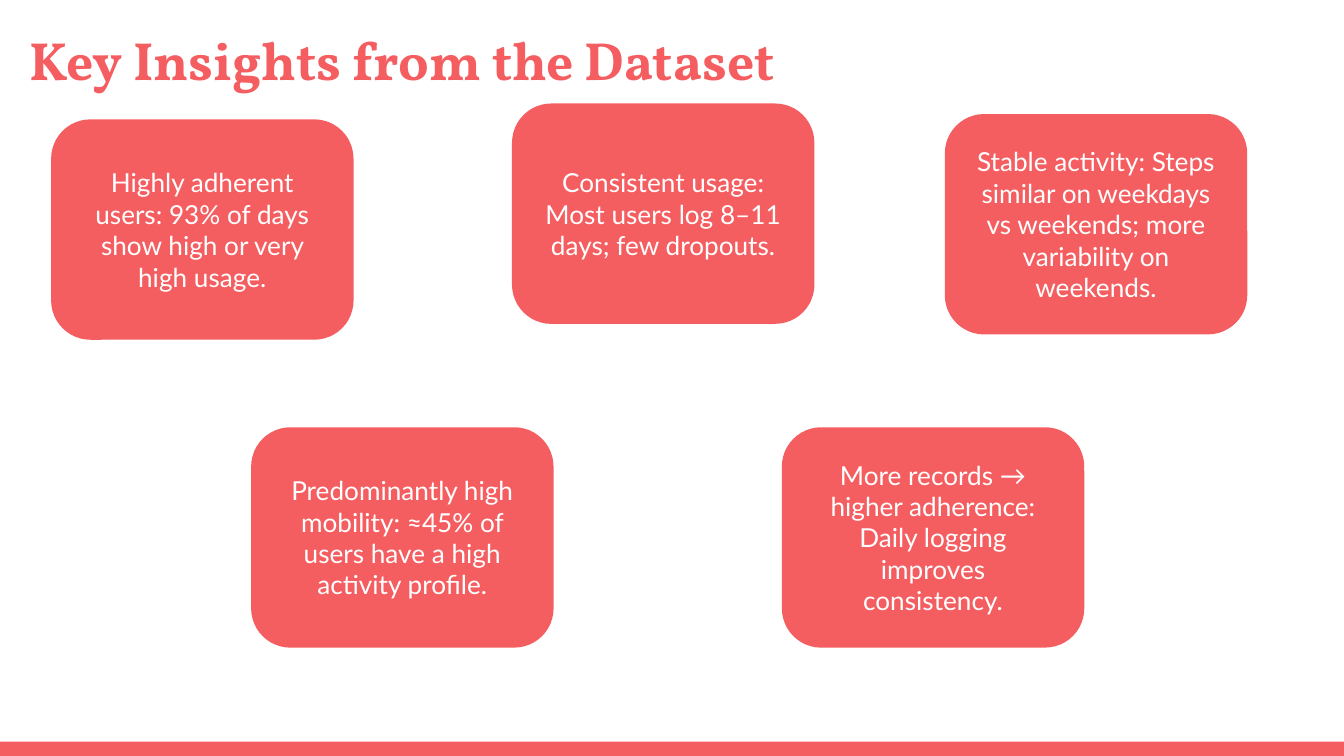
import pptx
import pptx.dml.color
import pptx.enum.shapes
import pptx.enum.text
import pptx.util

Cm = pptx.util.Cm
Shape = pptx.enum.shapes.MSO_SHAPE
Anchor = pptx.enum.text.MSO_ANCHOR
Align = pptx.enum.text.PP_ALIGN

CORAL = "F55E61"
WHITE = "FFFFFF"
SLIDE_WIDTH, SLIDE_HEIGHT = 25.4, 14.29
FOOTER_HEIGHT = 0.27
CARD_WIDTH, CARD_HEIGHT = 5.61, 4.06
TITLE_FONT = {"name": "Vollkorn", "size": pptx.util.Pt(28.8), "bold": True}
CARD_FONT = {"name": "Lato", "size": pptx.util.Pt(14)}
INSIGHTS = [
    (1.02, 2.31, "Highly adherent users: 93% of days show high or very high usage."),
    (9.73, 2.01, "Consistent usage: Most users log 8–11 days; few dropouts."),
    (17.91, 2.21, "Stable activity: Steps similar on weekdays vs weekends; more variability on weekends."),
    (4.8, 8.13, "Predominantly high mobility: ≈45% of users have a high activity profile."),
    (14.83, 8.13, "More records → higher adherence: Daily logging improves consistency."),
]


def color(value):
    """Turn a hex string into a colour."""
    return pptx.dml.color.RGBColor.from_string(value)


def write_text(box, text, font, ink, anchor, alignment):
    """Write one formatted paragraph into a box."""
    frame = box.text_frame
    frame_format = {"word_wrap": True, "vertical_anchor": anchor}
    for side in ("left", "top", "right", "bottom"):
        frame_format[f"margin_{side}"] = Cm(0.25)
    for name, value in frame_format.items():
        setattr(frame, name, value)
    para = frame.paragraphs[0]
    para.alignment = alignment
    span = para.add_run()
    span.text = text
    for name, value in font.items():
        setattr(span.font, name, value)
    span.font.color.rgb = color(ink)


def add_block(page, kind, left, top, width, height):
    """Add a flat coral shape without an outline."""
    block = page.shapes.add_shape(kind, Cm(left), Cm(top), Cm(width), Cm(height))
    block.shadow.inherit = False
    block.fill.solid()
    block.fill.fore_color.rgb = color(CORAL)
    block.line.fill.background()
    return block


def add_title(page, text):
    """Add the slide heading."""
    box = page.shapes.add_textbox(Cm(0.3), Cm(0.25), Cm(23.67), Cm(1.73))
    write_text(box, text, TITLE_FONT, CORAL, Anchor.TOP, Align.LEFT)


def add_card(page, left, top, text):
    """Add a rounded insight card with centred text."""
    card = add_block(page, Shape.ROUNDED_RECTANGLE, left, top, CARD_WIDTH, CARD_HEIGHT)
    card.adjustments[0] = 0.17
    card.line.color.rgb = color(CORAL)
    card.line.width = pptx.util.Pt(3)
    write_text(card, text, CARD_FONT, WHITE, Anchor.MIDDLE, Align.CENTER)


def main():
    """Build and save the insights slide."""
    deck = pptx.Presentation()
    deck.slide_width, deck.slide_height = Cm(SLIDE_WIDTH), Cm(SLIDE_HEIGHT)
    page = deck.slides.add_slide(deck.slide_layouts[6])
    page.background.fill.solid()
    page.background.fill.fore_color.rgb = color(WHITE)
    add_block(page, Shape.RECTANGLE, 0, SLIDE_HEIGHT - FOOTER_HEIGHT, SLIDE_WIDTH, FOOTER_HEIGHT)
    add_title(page, "Key Insights from the Dataset")
    for left, top, text in INSIGHTS:
        add_card(page, left, top, text)
    deck.save("out.pptx")


if __name__ == "__main__":
    main()
